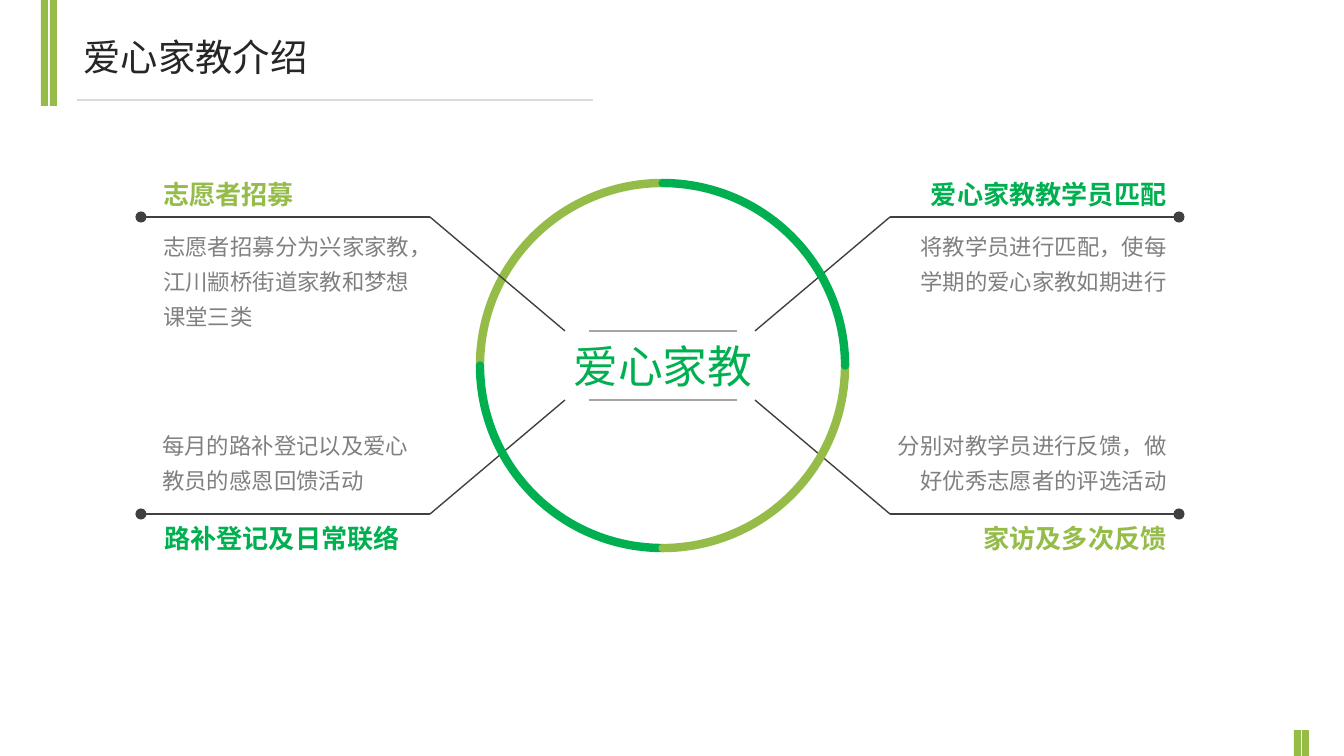
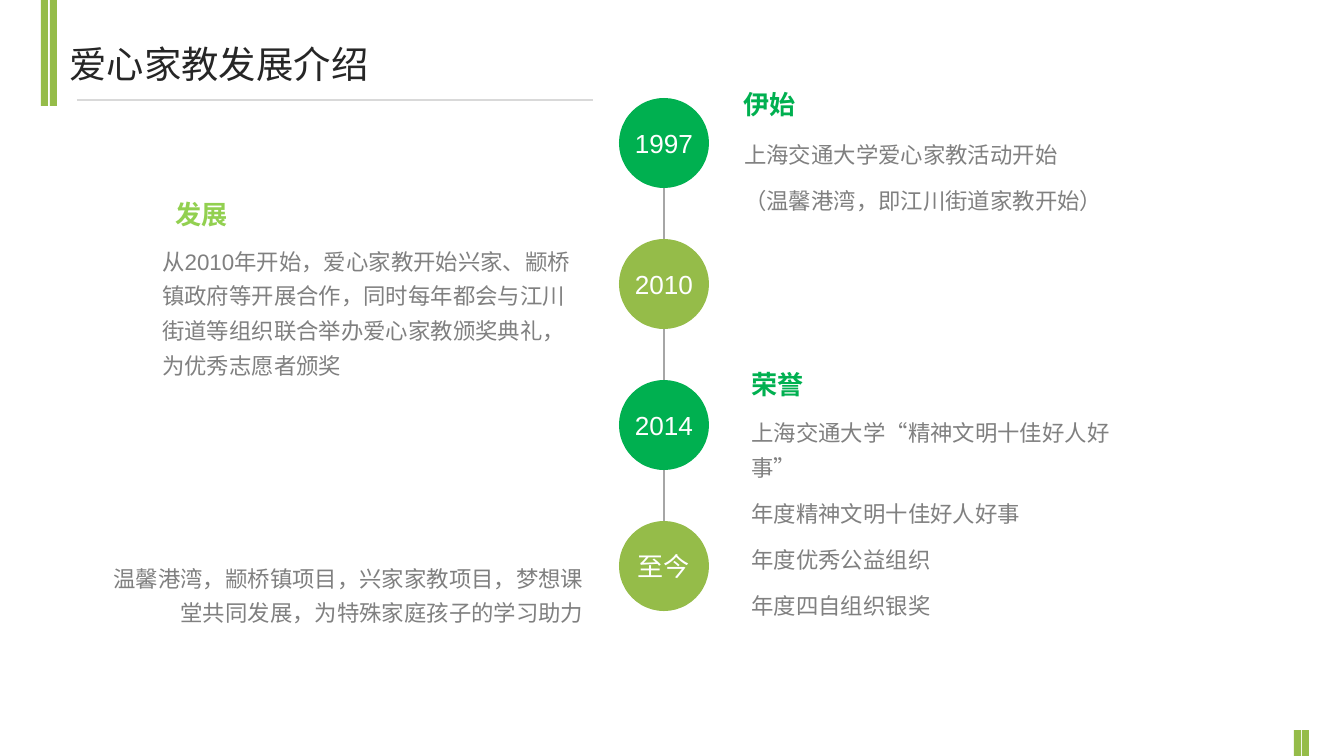
from lxml.etree import SubElement
from pptx import Presentation
from pptx.dml.color import RGBColor
from pptx.enum.shapes import MSO_CONNECTOR, MSO_SHAPE
from pptx.enum.text import MSO_ANCHOR, MSO_AUTO_SIZE, PP_ALIGN
from pptx.oxml.ns import qn
from pptx.util import Pt

PX = 6804  # EMU per px, 1344 px across the slide
LIME, GREEN, BRIGHT = "95BC49", "00B050", "92D050"
INK, GREY, DARK, RULE, PALE, WHITE = "262626", "808080", "404040", "A6A6A6", "D9D9D9", "FFFFFF"
HEAD_FONT, BODY_FONT, TITLE_FONT = "Noto Sans CJK SC", "Arial", "Arial Narrow"
LEFT, CENTER, RIGHT = PP_ALIGN.LEFT, PP_ALIGN.CENTER, PP_ALIGN.RIGHT
# size, font, colour, bold, line spacing, space before
TITLE = (20, TITLE_FONT, INK, False, 1, 0)
BODY = (12, BODY_FONT, GREY, False, 1.3, 6)
HEAD_LIME = (14, HEAD_FONT, LIME, True, 1, 0)
HEAD_GREEN = (14, HEAD_FONT, GREEN, True, 1, 0)


def write(shape, box, lines, align=LEFT, wrap=True):
    """Place a shape and fill it with (text, style) paragraphs."""
    shape.left, shape.top, shape.width, shape.height = (n * PX for n in box)
    frame = shape.text_frame
    frame.word_wrap = wrap
    frame.auto_size = MSO_AUTO_SIZE.SHAPE_TO_FIT_TEXT
    frame.vertical_anchor = MSO_ANCHOR.TOP
    frame.text = "\n".join(text for text, style in lines)
    for paragraph, (text, style) in zip(frame.paragraphs, lines):
        size, font, colour, bold, spacing, before = style
        paragraph.alignment = align
        paragraph.line_spacing, paragraph.space_before = spacing, Pt(before)
        paragraph.font.size, paragraph.font.name = Pt(size), font
        paragraph.font.bold = bold
        paragraph.font.color.rgb = RGBColor.from_string(colour)


def draw_line(slide, start, end, colour, dot=False):
    """Draw a thin straight line, with a dot at its start if asked."""
    ends = [n * PX for n in (*start, *end)]
    line = slide.shapes.add_connector(MSO_CONNECTOR.STRAIGHT, *ends)
    line.line.width = Pt(0.75)
    line.line.color.rgb = RGBColor.from_string(colour)
    if dot:
        SubElement(line.line._get_or_add_ln(), qn("a:headEnd"), type="oval")
    SubElement(line.element.spPr, qn("a:effectLst"))
    return line


prs = Presentation()
prs.slide_width, prs.slide_height = 1344 * PX, 756 * PX
intro = prs.slides.add_slide(prs.slide_layouts[5])
history = prs.slides.add_slide(prs.slide_layouts[1])

# Shared bars and title rule, moved to the master
master_tree = prs.slide_master.shapes.element
for x, y, height in [(41, 0, 106), (50, 0, 106), (1294, 730, 26), (1302, 730, 26)]:
    bar = intro.shapes.add_shape(MSO_SHAPE.RECTANGLE, x * PX, y * PX, 7 * PX, height * PX)
    bar.shadow.inherit = False
    bar.fill.solid()
    bar.fill.fore_color.rgb = RGBColor.from_string(LIME)
    bar.line.fill.background()
    master_tree.append(bar.element)
master_tree.append(draw_line(intro, (77, 100), (593, 100), PALE).element)

# Slide 1: title
write(intro.shapes.title, (70, 27, 569, 59), [("爱心家教介绍", TITLE)])

# Ring of four quarter arcs, the first one behind the leader lines
ring = []
for rotation, colour in [(0, LIME), (270, GREEN), (180, LIME), (90, GREEN)]:
    arc = intro.shapes.add_shape(MSO_SHAPE.ARC, 480 * PX, 183 * PX, 365 * PX, 365 * PX)
    arc.adjustments[0], arc.adjustments[1] = 108, 162  # 180 to 270 degrees
    arc.rotation = rotation
    arc.shadow.inherit = False
    arc.fill.background()
    arc.line.width = Pt(4.5)
    arc.line.color.rgb = RGBColor.from_string(colour)
    arc.line._get_or_add_ln().set("cap", "rnd")
    ring.append(arc)

# Leader lines, mirrored about the centre
for mirror_x in (False, True):
    outer, bend, inner = [1320 - x if mirror_x else x for x in (141, 430, 565)]
    for far_y, near_y in [(217, 331), (514, 400)]:
        draw_line(intro, (outer, far_y), (bend, far_y), DARK, dot=True)
        draw_line(intro, (bend, far_y), (inner, near_y), DARK)

# Centre label between two rules
for y in (331, 400):
    draw_line(intro, (589, y), (737, y), RULE)
write(intro.shapes.add_textbox(0, 0, 0, 0), (560, 332, 206, 71),
      [("爱心家教", (24, BODY_FONT, GREEN, False, 1, 0))], CENTER, wrap=False)

# Four topics: heading and description
topics = [
    ("志愿者招募", HEAD_LIME, (150, 172, 329, 47),
     "志愿者招募分为兴家家教，江川颛桥街道家教和梦想课堂三类", (150, 219, 278, 118), LEFT),
    ("路补登记及日常联络", HEAD_GREEN, (151, 516, 329, 47),
     "每月的路补登记以及爱心教员的感恩回馈活动", (149, 418, 278, 83), LEFT),
    ("爱心家教教学员匹配", HEAD_GREEN, (851, 172, 329, 47),
     "将教学员进行匹配，使每学期的爱心家教如期进行", (902, 219, 278, 83), RIGHT),
    ("家访及多次反馈", HEAD_LIME, (851, 516, 329, 47),
     "分别对教学员进行反馈，做好优秀志愿者的评选活动", (884, 418, 296, 83), RIGHT),
]
for heading, style, heading_box, detail, detail_box, align in topics:
    write(intro.shapes.add_textbox(0, 0, 0, 0), heading_box, [(heading, style)], align)
    write(intro.shapes.add_textbox(0, 0, 0, 0), detail_box, [(detail, BODY)], align)

# Bring the other three arcs above the lines
for arc in ring[1:]:
    intro.shapes.element.append(arc.element)

# Slide 2: title
write(history.shapes.title, (56, 34, 569, 59), [("爱心家教发展介绍", TITLE)])

# Timeline
draw_line(history, (664, 151), (664, 574), RULE)
for step, year in enumerate(["1997", "2010", "2014", "至今"]):
    top = 98 + 141 * step
    stop = history.shapes.add_shape(MSO_SHAPE.OVAL, 0, 0, 0, 0)
    write(stop, (619, top, 90, 90), [(year, (14, BODY_FONT, WHITE, False, 1, 0))],
          CENTER, wrap=False)
    stop.text_frame.auto_size = MSO_AUTO_SIZE.NONE
    stop.text_frame.vertical_anchor = MSO_ANCHOR.MIDDLE
    stop.shadow.inherit = False
    stop.fill.solid()
    stop.fill.fore_color.rgb = RGBColor.from_string(LIME if step % 2 else GREEN)
    stop.line.fill.background()

# Honours list
honours = history.placeholders[1]
write(honours, (738, 352, 429, 238), [
    ("荣誉", (14, HEAD_FONT, GREEN, True, 1.3, 6)),
    ("上海交通大学“精神文明十佳好人好事”", BODY),
    ("年度精神文明十佳好人好事", BODY),
    ("年度优秀公益组织", BODY),
    ("年度四自组织银奖", BODY),
])
for paragraph in honours.text_frame.paragraphs:
    properties = paragraph._p.get_or_add_pPr()
    properties.set("marL", "0")
    properties.set("indent", "0")
    properties.insert_element_before(
        properties.makeelement(qn("a:buNone")), "a:tabLst", "a:defRPr", "a:extLst")

# Beginnings, growth and the present
write(history.shapes.add_textbox(0, 0, 0, 0), (730, 82, 429, 47), [("伊始", HEAD_GREEN)])
write(history.shapes.add_textbox(0, 0, 0, 0), (731, 126, 429, 94), [
    ("上海交通大学爱心家教活动开始", BODY),
    ("（温馨港湾，即江川街道家教开始）", BODY),
])
write(history.shapes.add_textbox(0, 0, 0, 0), (162, 192, 79, 47),
      [("发展", (14, BODY_FONT, BRIGHT, True, 1, 0))], wrap=False)
write(history.shapes.add_textbox(0, 0, 0, 0), (149, 233, 448, 153), [
    ("从2010年开始，爱心家教开始兴家、颛桥镇政府等开展合作，同时每年都会与江川街道等组织"
     "联合举办爱心家教颁奖典礼，为优秀志愿者颁奖", BODY),
])
write(history.shapes.add_textbox(0, 0, 0, 0), (100, 550, 497, 83), [
    ("温馨港湾，颛桥镇项目，兴家家教项目，梦想课堂共同发展，为特殊家庭孩子的学习助力", BODY),
], RIGHT)

prs.save("out.pptx")
